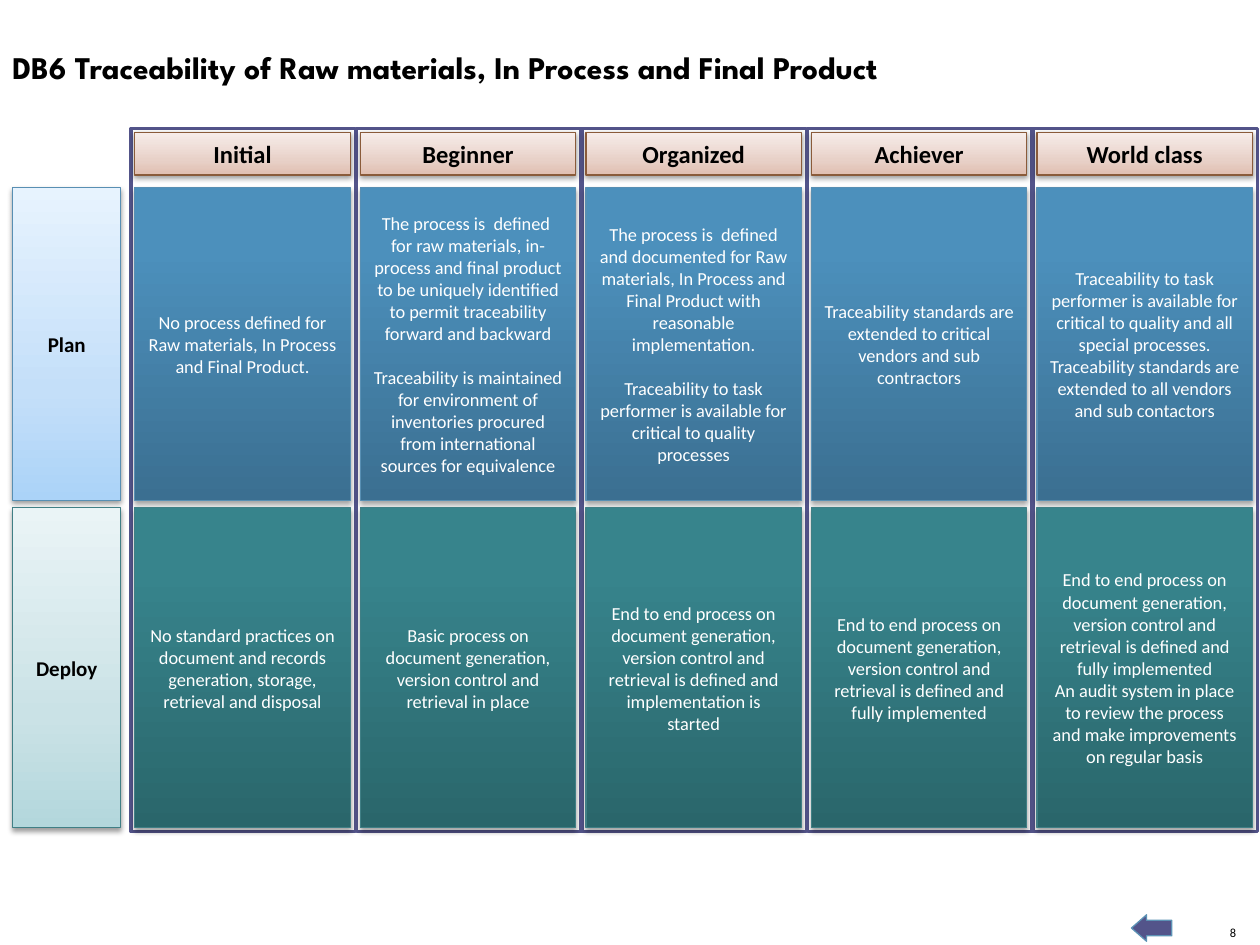
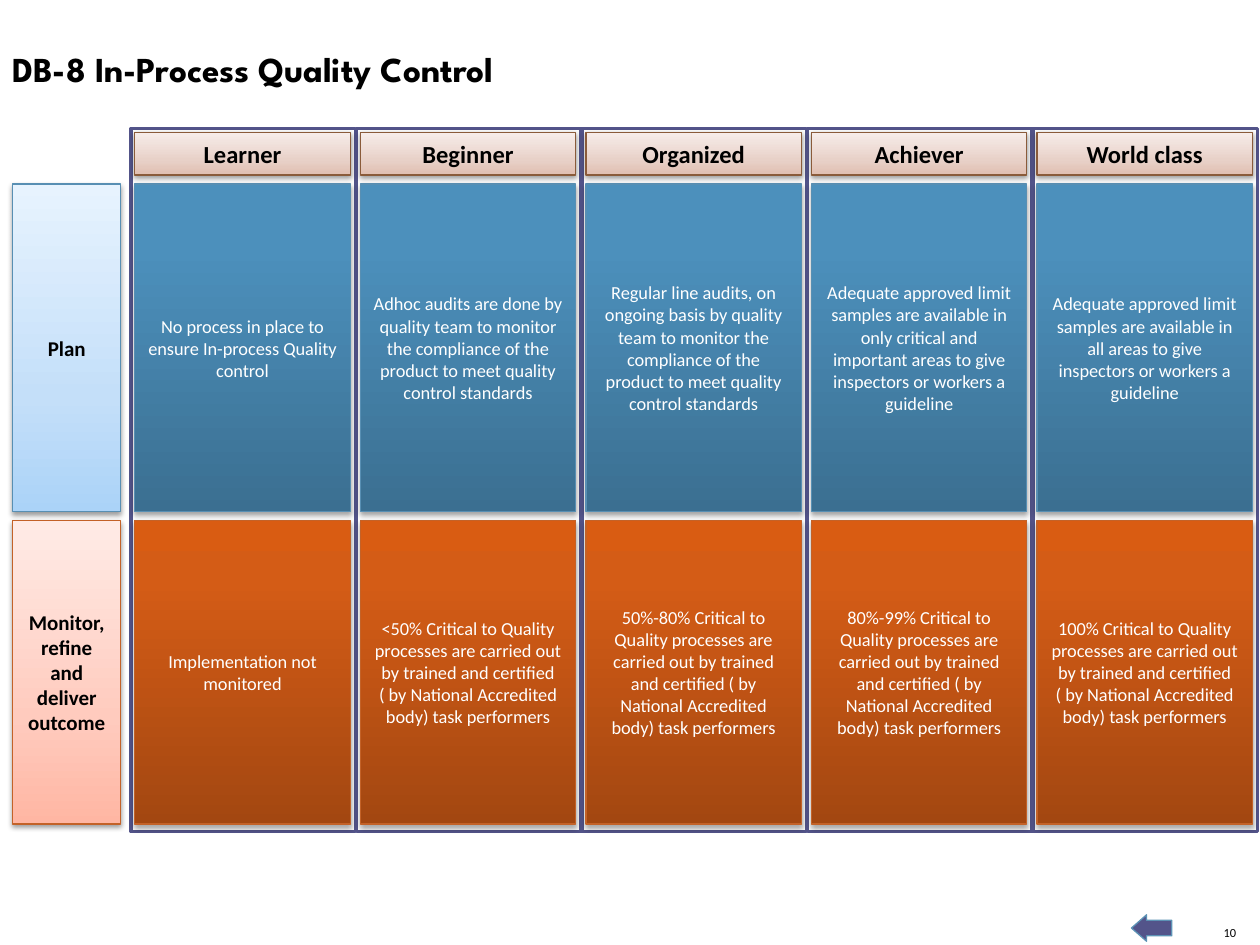
import copy

import pptx
import pptx.dml.color
import pptx.enum.shapes
import pptx.enum.text
import pptx.oxml
import pptx.oxml.ns
import pptx.util
from pptx.util import Inches

PLAN_TEXT = {
    "traceability": [
        ["No process defined for Raw materials, In Process and Final Product."],
        ["The process is  defined  for raw materials, in-process and final product to be "
         "uniquely identified to permit traceability forward and backward",
         "Traceability is maintained for environment of inventories procured from "
         "international sources for equivalence"],
        ["The process is  defined and documented for Raw materials, In Process and Final "
         "Product with reasonable implementation.",
         "Traceability to task performer is available for critical to quality processes"],
        ["Traceability standards are extended to critical vendors and sub contractors"],
        ["Traceability to task performer is available for critical to quality and all "
         "special processes.",
         "Traceability standards are extended to all vendors and sub contactors"],
    ],
    "quality": [
        ["No process in place to ensure In-process Quality control"],
        ["Adhoc audits are done by quality team to monitor the compliance of the product "
         "to meet quality control standards"],
        ["Regular line audits, on ongoing basis by quality team to monitor the compliance "
         "of the product to meet quality control standards"],
        ["Adequate approved limit samples are available in only critical and important "
         "areas to give inspectors or workers a guideline"],
        ["Adequate approved limit samples are available in all areas to give inspectors "
         "or workers a guideline"],
    ],
}
END_TO_END = ("End to end process on document generation, version control and retrieval "
              "is defined and ")
DEPLOY_TEXT = [
    ["No standard practices on document and records generation, storage, retrieval "
     "and disposal"],
    ["Basic process on document generation, version control and retrieval in place"],
    [END_TO_END + "implementation is started"],
    [END_TO_END + "fully implemented"],
    [END_TO_END + "fully implemented",
     "An audit system in place to review the process and make improvements on "
     "regular basis"],
]
MONITOR_TEXT = [["Implementation not monitored"]] + [
    [share + " Critical to Quality processes are carried out by trained and certified "
     "( by National Accredited body) task performers"]
    for share in ("<50%", "50%-80%", "80%-99%", "100%")
]
HIGHER_LEVELS = ["Beginner", "Organized", "Achiever", "World class"]

# Each row: label, theme, top, height, card texts; spaced columns get a line between paragraphs
PAGES = [
    {"title": "DB6 Traceability of Raw materials, In Process and Final Product",
     "title_size": 18, "title_height": 0.4, "number": "8",
     "levels": ["Initial"] + HIGHER_LEVELS, "spaced": (1, 2),
     "rows": [("Plan", "plan", 1.49, 2.48, PLAN_TEXT["traceability"]),
              ("Deploy", "deploy", 4.03, 2.54, DEPLOY_TEXT)]},
    {"title": "DB-8 In-Process Quality Control",
     "title_size": 20, "title_height": 0.44, "number": "10",
     "levels": ["Learner"] + HIGHER_LEVELS, "spaced": (),
     "rows": [("Plan", "plan", 1.46, 2.6, PLAN_TEXT["quality"]),
              ("Monitor, refine and deliver outcome", "monitor", 4.13, 2.41,
               MONITOR_TEXT)]},
]

RGB = pptx.dml.color.RGBColor.from_string
BLACK, WHITE = RGB("000000"), RGB("FFFFFF")
FRAME_COLOR, ARROW_LINE = RGB("53548A"), RGB("5C92B5")


def colors(*codes):
    return [RGB(code) for code in codes]


# Gradient colours run from bottom to top
THEMES = {
    "plan": {"line": RGB("588FB3"), "light": colors("ABD3F8", "C4DFF9", "E7F3FE"),
             "dark": colors("3B6F91", "4C90BC", "4A91BF")},
    "deploy": {"line": RGB("407F85"), "light": colors("B3D7DC", "CAE2E6", "EAF4F6"),
               "dark": colors("2A666B", "37848C", "36868E")},
    "monitor": {"line": RGB("C36228"), "light": colors("FFB6A3", "FFCBBE", "FFEBE6"),
                "dark": colors("A34711", "D45C16", "D95C12")},
    "level": {"line": RGB("8A5B3A"), "light": colors("E0BEB0", "E8D1C8", "F7EDEA")},
}
SHADES = {"light": {"middle": 0.35, "alpha": 38, "distance": 1.6},
          "dark": {"middle": 0.8, "alpha": 35, "distance": 1.8}}

BODY_FONT, TITLE_FONT = "Calibri", "League Spartan"
FRAME_LEFT, CARD_LEFT, COLUMN_STEP = 1.04, 1.07, 1.79
CARD_WIDTH = 1.71
LINE_GAP = 12.8
SHAPES = pptx.enum.shapes.MSO_SHAPE
ALIGN = pptx.enum.text.PP_ALIGN
ANCHOR = pptx.enum.text.MSO_ANCHOR


def write(box, paragraphs, size, color, align, font=BODY_FONT, bold=False, gap=0):
    frame = box.text_frame
    frame.text = "\n".join(paragraphs)
    for index, para in enumerate(frame.paragraphs):
        para.alignment = align
        if index and gap:
            para.space_before = pptx.util.Pt(gap)
        for span in para.runs:
            span.font.name, span.font.size = font, pptx.util.Pt(size)
            span.font.bold, span.font.color.rgb = bold, color


def add_outlined(page, kind, place, line_color, line_width):
    shape = page.shapes.add_shape(kind, *map(Inches, place))
    shape.line.color.rgb = line_color
    shape.line.width = pptx.util.Pt(line_width)
    shape.shadow.inherit = False
    return shape


def fill_solid(shape, color):
    shape.fill.solid()
    shape.fill.fore_color.rgb = color


def fill_gradient(shape, stop_colors, middle):
    shape.fill.gradient()
    shape.fill.gradient_angle = 90
    stop_list = shape._element.spPr.find(".//" + pptx.oxml.ns.qn("a:gsLst"))
    stop_list.append(copy.deepcopy(stop_list[-1]))
    for stop, color, position in zip(shape.fill.gradient_stops, stop_colors,
                                     (0, middle, 1)):
        stop.color.rgb = color
        stop.position = position


def add_shadow(shape, alpha, distance):
    effects = shape._element.spPr.find(pptx.oxml.ns.qn("a:effectLst"))
    effects.append(pptx.oxml.parse_xml(
        f'<a:outerShdw {pptx.oxml.ns.nsdecls("a")} blurRad="{pptx.util.Pt(3.1)}" '
        f'dist="{pptx.util.Pt(distance)}" dir="5400000" rotWithShape="0">'
        f'<a:srgbClr val="{BLACK}"><a:alpha val="{alpha * 1000}"/></a:srgbClr>'
        '</a:outerShdw>'))


def add_card(page, place, theme, shade, paragraphs, size, gap=0):
    """Gradient card; light cards carry bold black labels, dark ones white body text."""
    look, light = SHADES[shade], shade == "light"
    card = add_outlined(page, SHAPES.RECTANGLE, place, THEMES[theme]["line"], 0.75)
    fill_gradient(card, THEMES[theme][shade], look["middle"])
    add_shadow(card, look["alpha"], look["distance"])
    card.text_frame.word_wrap = True
    card.text_frame.vertical_anchor = ANCHOR.MIDDLE
    write(card, paragraphs, size, BLACK if light else WHITE, ALIGN.CENTER,
          bold=light, gap=gap)


def add_title(page, content):
    box = page.shapes.add_textbox(Inches(0), Inches(0.33), Inches(8.6),
                                  Inches(content["title_height"]))
    box.text_frame.word_wrap = True
    write(box, [content["title"]], content["title_size"], BLACK, ALIGN.LEFT,
          font=TITLE_FONT, bold=True)


def add_footer(page, number):
    box = page.shapes.add_textbox(*map(Inches, (9.69, 7.34, 0.12, 0.12)))
    frame = box.text_frame
    frame.margin_left = frame.margin_right = frame.margin_top = frame.margin_bottom = 0
    frame.word_wrap = False
    frame.vertical_anchor = ANCHOR.BOTTOM
    write(box, [number], 7.1, BLACK, ALIGN.RIGHT)

    arrow = add_outlined(page, SHAPES.RIGHT_ARROW, (8.98, 7.26, 0.32, 0.21),
                         ARROW_LINE, 0.75)
    arrow.rotation = 180
    arrow.adjustments[0], arrow.adjustments[1] = 0.59, 0.57
    fill_solid(arrow, FRAME_COLOR)


def add_maturity_grid(page, content):
    for label, theme, top, height, _ in content["rows"]:
        add_card(page, (0.1, top, 0.86, height), theme, "light", [label], 12)
    for column in range(len(content["levels"])):
        left = FRAME_LEFT + column * COLUMN_STEP
        frame = add_outlined(page, SHAPES.RECTANGLE, (left, 1.02, 1.78, 5.58),
                             FRAME_COLOR, 2)
        fill_solid(frame, WHITE)
    for _, theme, top, height, texts in content["rows"]:
        for column, paragraphs in enumerate(texts):
            left = CARD_LEFT + column * COLUMN_STEP
            gap = LINE_GAP if column in content["spaced"] else 0
            add_card(page, (left, top, CARD_WIDTH, height), theme, "dark",
                     paragraphs, 10.5, gap)
    for column, level in enumerate(content["levels"]):
        left = CARD_LEFT + column * COLUMN_STEP
        add_card(page, (left, 1.05, CARD_WIDTH, 0.34), "level", "light", [level], 14)


def main():
    deck = pptx.Presentation()
    deck.slide_width, deck.slide_height = Inches(10), Inches(7.5)
    for content in PAGES:
        page = deck.slides.add_slide(deck.slide_layouts[6])
        add_footer(page, content["number"])
        add_title(page, content)
        add_maturity_grid(page, content)
    deck.save("out.pptx")


if __name__ == "__main__":
    main()
